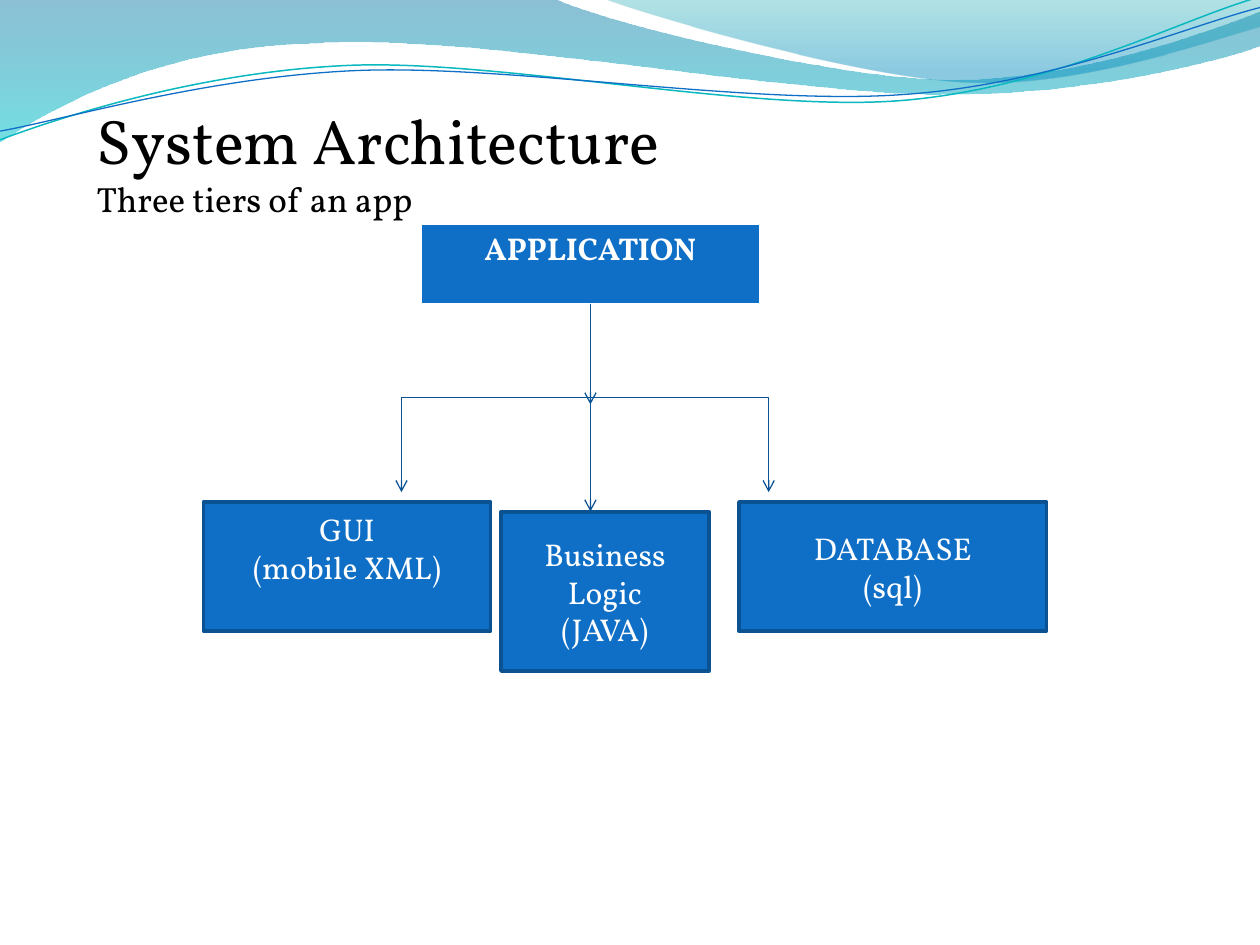
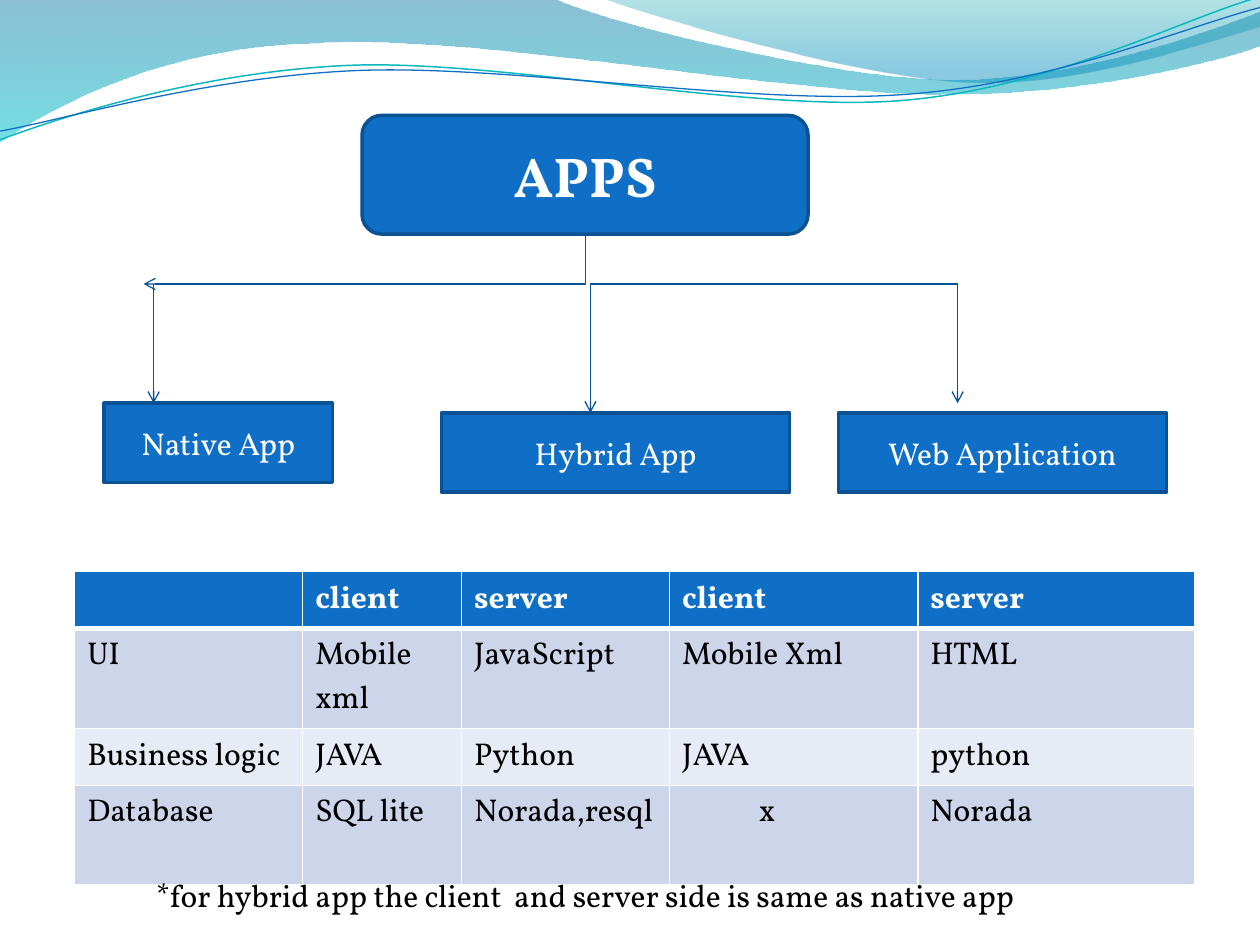
import dataclasses

import pptx
import pptx.dml.color
import pptx.enum.shapes
import pptx.enum.text
import pptx.oxml
import pptx.oxml.ns
import pptx.util

Pt = pptx.util.Pt
RGB = pptx.dml.color.RGBColor.from_string
KIND = pptx.enum.shapes.MSO_SHAPE
LINK = pptx.enum.shapes.MSO_CONNECTOR
ALIGN = pptx.enum.text.PP_ALIGN
qn = pptx.oxml.ns.qn


@dataclasses.dataclass(frozen=True)
class Theme:
    font: str = "Vollkorn"
    blue: str = "0F6FC6"
    box_edge: str = "0B5292"
    arrow: str = "095295"
    teal: str = "0AB8BF"
    white: str = "FFFFFF"
    black: str = "000000"
    row_dark: str = "CCD5EA"
    row_light: str = "E7EBF5"
    title: int = 36
    root: int = 32
    subtitle: int = 20
    body: int = 18
    box_line: float = 2
    arrow_line: float = 0.75


THEME = Theme()
SLIDE_SIZE = (720, 540)

# Each outline is a list of steps: two numbers make a line, six make a curve.
WAVE_BANDS = [
    {"steps": [(0, 0), (316.8, -0.7), (342.7, 12.2, 478.1, 45.4, 545.8, 45.4),
               (614.2, 45.4, 689.8, 18.7, 720, 6.5), (720.7, 25.9),
               (707, 31.7, 626.4, 54.7, 537.1, 54), (447.8, 54, 275, 20.2, 185, 24.5),
               (92.9, 25.9, 33.1, 59.8, -0.7, 81.4), (0, 0)],
     "stops": [(0, "0074A1", 45), (1, "00C6CF", 55)]},
    {"steps": [(344.9, -0.7), (366.5, 7.9, 491, 44.6, 553.7, 46.8),
               (616.3, 49.7, 691.9, 23, 720, 15.1), (720, 0), (344.9, -0.7)],
     "stops": [(0, "00A1A9", 30), (0.8, "008BBF", 45)]},
]
WAVE_LINES = [
    {"steps": [(0, 79.9), (34.6, 67, 113.8, 41, 199.4, 37.4),
               (284.4, 33.8, 427, 64.1, 513.4, 57.6),
               (599.8, 51.1, 675.4, 10.8, 718.6, -1.4)],
     "color": THEME.teal, "width": 0.85},
    {"steps": [(0, 74.9), (33.8, 69.1, 118.1, 43.9, 203.8, 40.3),
               (290.2, 36.7, 429.8, 60.5, 516.2, 54),
               (601.9, 48.2, 677.5, 15.1, 720, 4.3)],
     "color": THEME.blue, "width": 0.75},
]

HEADING = [("System Architecture", THEME.title), ("Three tiers of an app", THEME.subtitle)]
HEADING_AT = (48.2, 54.7, 635, 118.8)
APPLICATION = "APPLICATION"
APPLICATION_AT = (240.9, 128.2, 193, 46.1)
GUI = (["GUI", "(mobile XML)"], (116.2, 286.9, 164.2, 73.8))
OTHER_TIERS = [
    (["Business", "Logic", "(JAVA)"], (286.3, 292.5, 118.8, 91)),
    (["DATABASE", "(sql)"], (422.3, 286.9, 175.7, 73.8)),
]
TIER_TRUNK = (337.4, 173.5)
TIER_ELBOW_ENDS = [(229.4, 281.2), (439.2, 281.2)]
TIER_ARROWS = [((337.4, 225.4), (337.4, 231.1)), ((337.4, 230.4), (337.4, 292.3))]

APPS = "APPS"
APPS_AT = (206.9, 65.9, 254.9, 67.9)
APP_KINDS = [
    ("Native App", (59.5, 230.4, 130.5, 45.4)),
    ("Hybrid App", (252.3, 235.9, 198.9, 45.4)),
    ("Web Application", (479.1, 235.9, 187.4, 45.4)),
]
BRANCH_Y = 162.3
APPS_ELBOW = ((334.5, 133.9), (82.1, BRANCH_Y))
WEB_BRANCH = ((337.4, BRANCH_Y), (547.2, BRANCH_Y))
APP_ARROW_ENDS = [(87.8, 230.4), (337.4, 235.9), (547.2, 230.4)]

STACK = [
    ["", "client", "server", "client", "server"],
    ["UI", "Mobile xml", "JavaScript", "Mobile Xml", "HTML"],
    ["Business logic", "JAVA", "Python", "JAVA", "python"],
    ["Database", "SQL lite", "Norada,resql", "x", "Norada"],
]
STACK_ORIGIN = (42.7, 326.7)
STACK_COLUMNS = [130.3, 90.8, 118.9, 141.8, 158.4]
STACK_ROWS = [32.3, 57, 32.3, 57]
ABSENT, ABSENT_INDENT = "x", 51
FOOTNOTE = "*for hybrid app the client  and server side is same as native app"
FOOTNOTE_AT = (82.1, 496.8, 544.3, 28.8)


def points(values):
    return [Pt(value) for value in values]


def drawing_xml(tag, attributes="", inside=""):
    namespace = pptx.oxml.ns.nsdecls("a")
    return pptx.oxml.parse_xml(f"<a:{tag} {namespace} {attributes}>{inside}</a:{tag}>")


def write(frame, lines, color, bold=False, align=None):
    """Fill a text frame with (text, size) lines, one paragraph each."""
    for index, (text, size) in enumerate(lines):
        paragraph = frame.paragraphs[0] if index == 0 else frame.add_paragraph()
        paragraph.alignment = align
        run = paragraph.add_run()
        run.text = text
        run.font.name = THEME.font
        run.font.size = Pt(size)
        run.font.bold = bold
        run.font.color.rgb = RGB(color)


def add_text(slide, lines, place):
    frame = slide.shapes.add_textbox(*points(place)).text_frame
    frame.word_wrap = True
    write(frame, lines, THEME.black)


def add_box(slide, lines, place, kind=KIND.RECTANGLE, size=THEME.body, bold=False):
    box = slide.shapes.add_shape(kind, *points(place))
    box.shadow.inherit = False
    box.fill.solid()
    box.fill.fore_color.rgb = RGB(THEME.blue)
    box.line.color.rgb = RGB(THEME.box_edge)
    box.line.width = Pt(THEME.box_line)
    box.text_frame.word_wrap = True
    box.text_frame.vertical_anchor = pptx.enum.text.MSO_ANCHOR.MIDDLE
    write(box.text_frame, [(line, size) for line in lines], THEME.white, bold, ALIGN.CENTER)
    return box


def add_outline(slide, steps):
    """Build a freeform through all points, then join each curve's three into one."""
    start, *rest = steps
    vertices = [points(step[i:i + 2]) for step in rest for i in range(0, len(step), 2)]
    builder = slide.shapes.build_freeform(*points(start))
    builder.add_line_segments(vertices, close=start == rest[-1])
    outline = builder.convert_to_shape()
    outline.shadow.inherit = False
    segments = iter(list(outline.element.spPr.iter(qn("a:lnTo"))))
    for step in rest:
        group = [next(segments) for _ in range(len(step) // 2)]
        if len(group) == 3:
            curve = drawing_xml("cubicBezTo")
            group[0].addprevious(curve)
            for segment in group:
                curve.append(segment[0])
                segment.getparent().remove(segment)
    return outline


def add_waves(slide):
    for band in WAVE_BANDS:
        wave = add_outline(slide, band["steps"])
        wave.line.fill.background()
        wave.fill.gradient()
        wave.fill.gradient_angle = 270
        for stop, (position, color, _) in zip(wave.fill.gradient_stops, band["stops"]):
            stop.position = position
            stop.color.rgb = RGB(color)
        for tint, (_, _, opacity) in zip(wave.element.spPr.iter(qn("a:srgbClr")), band["stops"]):
            tint.append(drawing_xml("alpha", f'val="{opacity * 1000}"'))
    for line in WAVE_LINES:
        wave = add_outline(slide, line["steps"])
        wave.fill.background()
        wave.line.color.rgb = RGB(line["color"])
        wave.line.width = Pt(line["width"])


def add_link(slide, start, end, arrow=True, kind=LINK.STRAIGHT):
    link = slide.shapes.add_connector(kind, *points(start + end))
    link.line.color.rgb = RGB(THEME.arrow)
    link.line.width = Pt(THEME.arrow_line)
    if arrow:
        link.element.spPr.find(qn("a:ln")).append(drawing_xml("tailEnd", 'type="arrow"'))
    link.element.spPr.append(drawing_xml("effectLst"))
    return link


def add_elbow(slide, start, end, preset="bentConnector3"):
    """Draw an elbow that leaves downwards: a sideways one turned by a quarter."""
    (x1, y1), (x2, y2) = start, end
    length, breadth = y2 - y1, abs(x2 - x1)
    left, top = (x1 + x2 - length) / 2, (y1 + y2 - breadth) / 2
    goes_right = x2 > x1
    near, far = (left + length, left) if goes_right else (left, left + length)
    link = add_link(slide, (near, top), (far, top + breadth), kind=LINK.ELBOW)
    link.element.spPr.find(qn("a:xfrm")).set("rot", "16200000" if goes_right else "5400000")
    link.element.spPr.find(qn("a:prstGeom")).set("prst", preset)


def style_cell(cell, fill, bottom=1):
    cell.fill.solid()
    cell.fill.fore_color.rgb = RGB(fill)
    edges = [("lnL", 1), ("lnR", 1), ("lnT", 1), ("lnB", bottom)]
    white = f'<a:solidFill><a:srgbClr val="{THEME.white}"/></a:solidFill>'
    for index, (edge, width) in enumerate(edges):
        cell._tc.get_or_add_tcPr().insert(index, drawing_xml(edge, f'w="{Pt(width)}"', white))


def add_grid(slide, origin, columns, rows):
    place = (*origin, sum(columns), sum(rows))
    grid = slide.shapes.add_table(len(rows), len(columns), *points(place)).table
    for column, width in zip(grid.columns, columns):
        column.width = Pt(width)
    for row, height in zip(grid.rows, rows):
        row.height = Pt(height)
    return grid


def add_stack_table(slide):
    grid = add_grid(slide, STACK_ORIGIN, STACK_COLUMNS, STACK_ROWS)
    for r, row in enumerate(STACK):
        header = r == 0
        fill = THEME.blue if header else THEME.row_dark if r % 2 else THEME.row_light
        for c, text in enumerate(row):
            cell = grid.cell(r, c)
            style_cell(cell, fill, bottom=3 if header else 1)
            if text:
                write(cell.text_frame, [(text, THEME.body)],
                      THEME.white if header else THEME.black, bold=header)
            if text == ABSENT:
                cell.margin_left = Pt(ABSENT_INDENT)


def build_architecture(slide):
    add_text(slide, HEADING, HEADING_AT)
    left, top, width, height = APPLICATION_AT
    application = add_grid(slide, (left, top), [width], [height]).cell(0, 0)
    style_cell(application, THEME.blue, bottom=3)
    write(application.text_frame, [(APPLICATION, THEME.body)], THEME.white, True, ALIGN.CENTER)
    for end in TIER_ELBOW_ENDS:
        add_elbow(slide, TIER_TRUNK, end)
    for start, end in TIER_ARROWS:
        add_link(slide, start, end)
    gui = add_box(slide, *GUI)
    gui.text_frame.margin_bottom = Pt(25.2)
    for lines, place in OTHER_TIERS:
        add_box(slide, lines, place)


def build_app_kinds(slide):
    add_box(slide, [APPS], APPS_AT, KIND.ROUNDED_RECTANGLE, THEME.root, True)
    add_elbow(slide, *APPS_ELBOW, preset="bentConnector2")
    add_link(slide, *WEB_BRANCH, arrow=False)
    for x, y in APP_ARROW_ENDS:
        add_link(slide, (x, BRANCH_Y), (x, y))
    for name, place in APP_KINDS:
        add_box(slide, [name], place)
    add_stack_table(slide)
    add_text(slide, [(FOOTNOTE, THEME.body)], FOOTNOTE_AT)


def main():
    deck = pptx.Presentation()
    deck.slide_width, deck.slide_height = points(SLIDE_SIZE)
    for build in (build_architecture, build_app_kinds):
        slide = deck.slides.add_slide(deck.slide_layouts[6])
        add_waves(slide)
        build(slide)
    deck.save("out.pptx")


if __name__ == "__main__":
    main()
